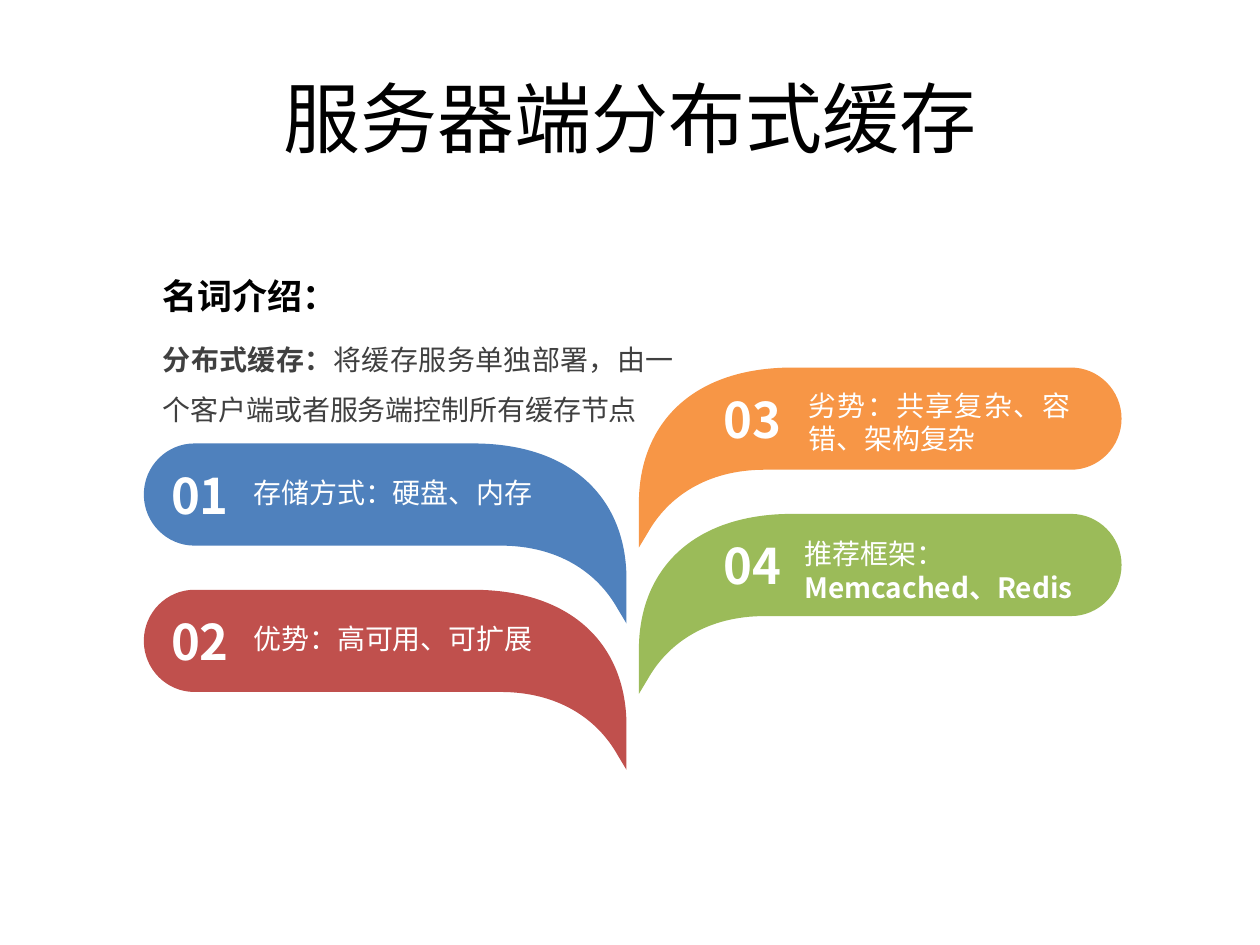
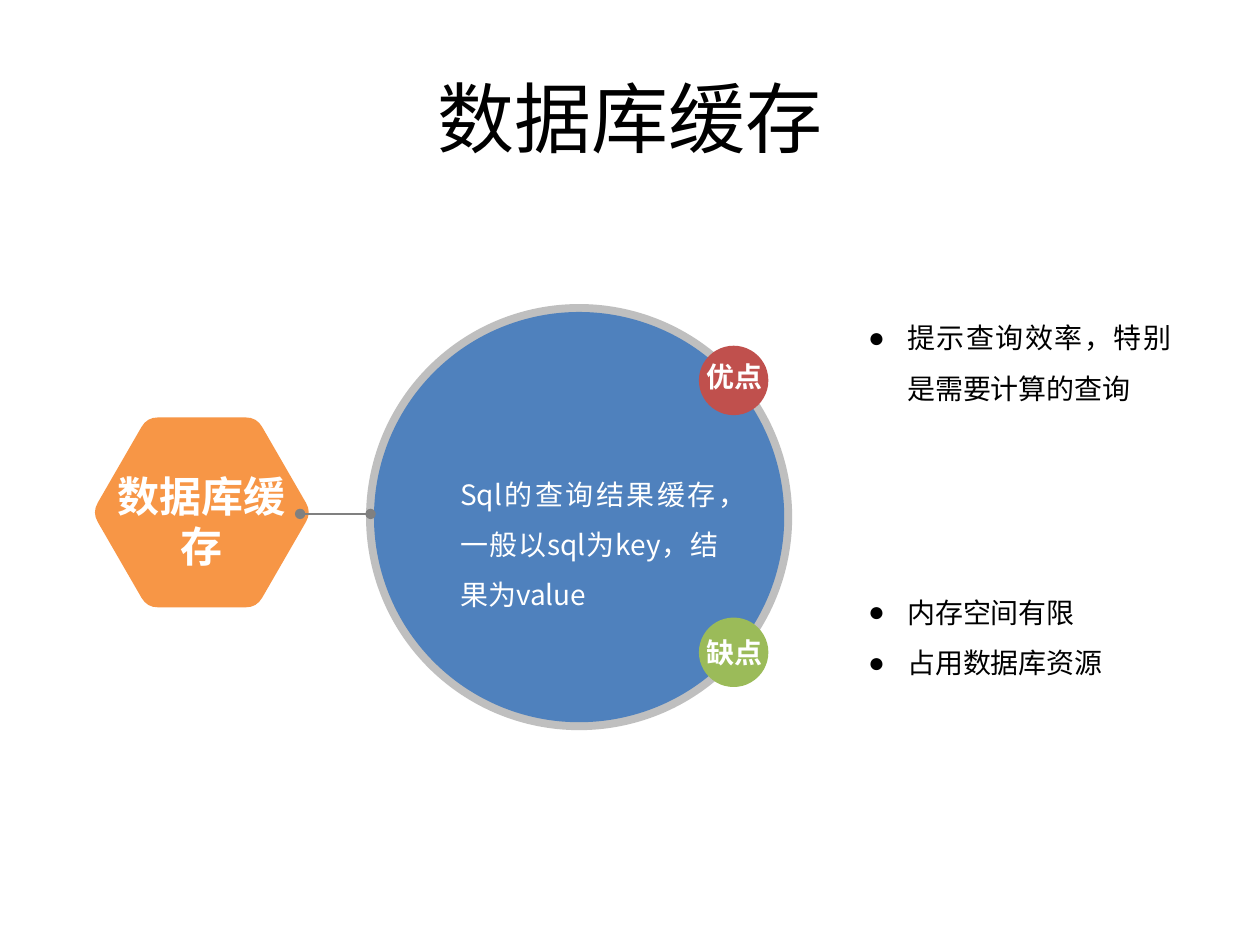
from math import cos, pi, sin

from lxml import etree
from pptx import Presentation
from pptx.dml.color import RGBColor
from pptx.enum.shapes import MSO_CONNECTOR, MSO_SHAPE
from pptx.enum.text import MSO_ANCHOR, PP_ALIGN
from pptx.oxml.ns import qn
from pptx.util import Cm, Pt

LEFT, CENTER, JUSTIFY = PP_ALIGN.LEFT, PP_ALIGN.CENTER, PP_ALIGN.JUSTIFY
TOP, MIDDLE = MSO_ANCHOR.TOP, MSO_ANCHOR.MIDDLE
OVAL, STRAIGHT = MSO_SHAPE.OVAL, MSO_CONNECTOR.STRAIGHT

BLACK = RGBColor(0x00, 0x00, 0x00)
WHITE = RGBColor(0xFF, 0xFF, 0xFF)
DARK_GRAY = RGBColor(0x40, 0x40, 0x40)
GRAY = RGBColor(0x80, 0x80, 0x80)
LIGHT_GRAY = RGBColor(0xBF, 0xBF, 0xBF)
BLUE = RGBColor(0x4F, 0x81, 0xBD)
RED = RGBColor(0xC0, 0x50, 0x4D)
GREEN = RGBColor(0x9B, 0xBB, 0x59)
ORANGE = RGBColor(0xF7, 0x96, 0x46)

TITLE_FONT = "Calibri"
BODY_FONT = "Noto Sans CJK SC"
BULLET_FONT = "Arial"

LEAF_WIDTH = 9.73
LEAF_PITCH = 2.95
LEAF_START = (1.02, 2.06)
LEAF_EDGES = [
    [(7.19, 2.06)],
    [(8.35, 2.06), (9.14, 2.6), (9.55, 3.33)],
    [(9.73, 3.63)],
    [(9.73, 2.74)],
    [(9.73, 1.14), (8.66, 0), (6.63, 0)],
    [(1.02, 0)],
    [(0.46, 0), (0, 0.46), (0, 1.03)],
    [(0, 1.6), (0.46, 2.06), (1.02, 2.06)],
]


def add_bullet(para, symbol, indent):
    properties = para._p.get_or_add_pPr()
    properties.set("marL", str(Cm(indent)))
    properties.set("indent", str(-Cm(indent)))
    etree.SubElement(properties, qn("a:buFont")).set("typeface", BULLET_FONT)
    etree.SubElement(properties, qn("a:buChar")).set("char", symbol)


def add_text(shapes, box, paragraphs, size=16, color=WHITE, bold=False, font=BODY_FONT,
             align=LEFT, anchor=TOP, spacing=None, bullet=None, wrap=True, inset=True):
    frame = shapes.add_textbox(*map(Cm, box)).text_frame
    frame.word_wrap = wrap
    frame.vertical_anchor = anchor
    if not inset:
        frame.margin_left = frame.margin_right = frame.margin_top = frame.margin_bottom = 0
    for index, spans in enumerate(paragraphs):
        para = frame.add_paragraph() if index else frame.paragraphs[0]
        if bullet:
            add_bullet(para, bullet, 0.79)
        para.alignment = align
        para.line_spacing = spacing
        for text, span_bold in [(spans, bold)] if isinstance(spans, str) else spans:
            span = para.add_run()
            span.text = text
            span.font.size = Pt(size)
            span.font.bold = span_bold
            span.font.color.rgb = color
            span.font.name = font
            etree.SubElement(span._r.get_or_add_rPr(), qn("a:ea")).set("typeface", BODY_FONT)


def paint(shape, color):
    shape.shadow.inherit = False
    shape.fill.solid()
    shape.fill.fore_color.rgb = color
    shape.line.fill.background()


def add_circle(shapes, left, top, size, color):
    paint(shapes.add_shape(OVAL, Cm(left), Cm(top), Cm(size), Cm(size)), color)


def add_outline(shapes, start, edges, color):
    builder = shapes.build_freeform(Cm(start[0]), Cm(start[1]))
    builder.add_line_segments([(Cm(x), Cm(y)) for edge in edges for x, y in edge], close=True)
    shape = builder.convert_to_shape()
    segments = iter(list(shape._element.iter(qn("a:lnTo"))))
    for edge in edges:
        parts = [next(segments) for _ in edge]
        if len(parts) == 3:
            curve = etree.Element(qn("a:cubicBezTo"))
            parts[0].addprevious(curve)
            for part in parts:
                curve.append(part[0])
                part.getparent().remove(part)
    paint(shape, color)


def add_title(page, text):
    add_text(page.shapes, (1.27, 0.76, 22.86, 3.18), [text], size=44, color=BLACK,
             font=TITLE_FONT, align=CENTER, anchor=MIDDLE)


def add_leaf(page, left, top, color, number, number_left, label, label_box, mirrored=False):
    shapes = page.shapes.add_group_shape().shapes

    def place(point):
        x, y = point
        return left + (LEAF_WIDTH - x if mirrored else x), top + y

    edges = [[place(point) for point in edge] for edge in LEAF_EDGES]
    add_outline(shapes, place(LEAF_START), edges, color)
    label_left, label_top, width, height = label_box
    add_text(shapes, (left + label_left, top + label_top, width, height), label, align=JUSTIFY)
    add_text(shapes, (left + number_left, top + 0.32, 1.75, 1.45), [number],
             size=28, bold=True, wrap=False)


def add_term(page, left, top):
    add_text(page.shapes, (left, top, 4.78, 0.86), ["名词介绍："], size=20, color=BLACK,
             bold=True, inset=False)
    definition = [("分布式缓存：", True),
                  ("将缓存服务单独部署，由一个客户端或者服务端控制所有缓存节点", False)]
    add_text(page.shapes, (left, top + 1.02, 10.31, 1.93), [definition], color=DARK_GRAY,
             align=JUSTIFY, spacing=1.5, inset=False)


def toward(start, end, share):
    return tuple(a + (b - a) * share for a, b in zip(start, end))


def round_corner(before, corner, after):
    first, last = toward(before, corner, 0.5), toward(corner, after, 0.5)
    peak = toward(first, last, 0.5)
    return [[toward(before, first, 2 / 3), toward(peak, first, 2 / 3), peak],
            [toward(peak, last, 2 / 3), toward(after, last, 2 / 3), after]]


def add_hexagon(page, center_x, center_y, radius, text):
    corners = [(center_x + radius * cos(k * pi / 3), center_y + radius * sin(k * pi / 3))
               for k in range(6)]
    edges = []
    for k, corner in enumerate(corners):
        before = toward(corner, corners[k - 1], 0.1)
        after = toward(corner, corners[(k + 1) % 6], 0.1)
        edges += [[before]] + round_corner(before, corner, after)
    add_outline(page.shapes, edges[0][0], edges[1:], ORANGE)
    add_text(page.shapes, (center_x - 2.02, center_y - 0.97, 4.04, 2.31), [text], size=24,
             bold=True, align=CENTER)


def add_badge(page, left, top, color, text, text_top):
    shapes = page.shapes.add_group_shape().shapes
    add_circle(shapes, left, top, 1.4, color)
    add_text(shapes, (left - 0.09, top + text_top, 1.65, 0.94), [text], bold=True, wrap=False)


def add_disc(page, left, top, size):
    rim = 0.16
    add_circle(page.shapes, left, top, size, LIGHT_GRAY)
    add_circle(page.shapes, left + rim, top + rim, size - 2 * rim, BLUE)
    add_text(page.shapes, (left + 1.9, top + 3.15, 5.21, 3.07),
             ["Sql的查询结果缓存，一般以sql为key，结果为value"],
             align=JUSTIFY, spacing=1.5, inset=False)
    add_badge(page, left + 6.71, top + 0.84, RED, "优点", 0.16)
    add_badge(page, left + 6.71, top + 6.32, GREEN, "缺点", 0.24)


def add_link(page, left, right, height):
    link = page.shapes.add_connector(STRAIGHT, Cm(left), Cm(height), Cm(right), Cm(height))
    link.line.color.rgb = GRAY
    link.line.width = Pt(1)
    line = link._element.spPr.find(qn("a:ln"))
    for end in ("a:headEnd", "a:tailEnd"):
        etree.SubElement(line, qn(end)).set("type", "oval")
    etree.SubElement(link._element.spPr, qn("a:effectLst"))


def build_server_cache(page):
    add_title(page, "服务器端分布式缓存")
    add_term(page, 3.28, 5.54)
    left_leaves = [(BLUE, "01", "存储方式：硬盘、内存"), (RED, "02", "优势：高可用、可扩展")]
    for row, (color, number, label) in enumerate(left_leaves):
        add_leaf(page, 2.9, 8.94 + row * LEAF_PITCH, color, number, 0.3,
                 [label], (1.96, 0.52, 6.83, 0.94))
    right_leaves = [
        (ORANGE, "03", ["劣势：共享复杂、容错、架构复杂"], (3.17, 0.29, 5.79, 1.63)),
        (GREEN, "04", ["推荐框架：", [("Memcached、Redis", True)]], (3.09, 0.33, 6.81, 1.63)),
    ]
    for row, (color, number, label, label_box) in enumerate(right_leaves):
        add_leaf(page, 12.88, 7.41 + row * LEAF_PITCH, color, number, 1.45,
                 label, label_box, mirrored=True)


def build_database_cache(page):
    add_title(page, "数据库缓存")
    add_hexagon(page, 4.07, 10.33, 2.21, "数据库缓存")
    add_disc(page, 7.38, 6.13, 8.59)
    add_link(page, 6.05, 7.47, 10.36)
    for top, points in [(6.13, ["提示查询效率，特别是需要计算的查询"]),
                        (11.67, ["内存空间有限", "占用数据库资源"])]:
        add_text(page.shapes, (17.5, top, 6.12, 2.06), points, color=BLACK, align=JUSTIFY,
                 spacing=1.5, bullet="●", inset=False)


def main():
    deck = Presentation()
    deck.slide_width, deck.slide_height = Cm(25.4), Cm(19.05)
    for build in (build_server_cache, build_database_cache):
        build(deck.slides.add_slide(deck.slide_layouts[6]))
    deck.save("out.pptx")


if __name__ == "__main__":
    main()
